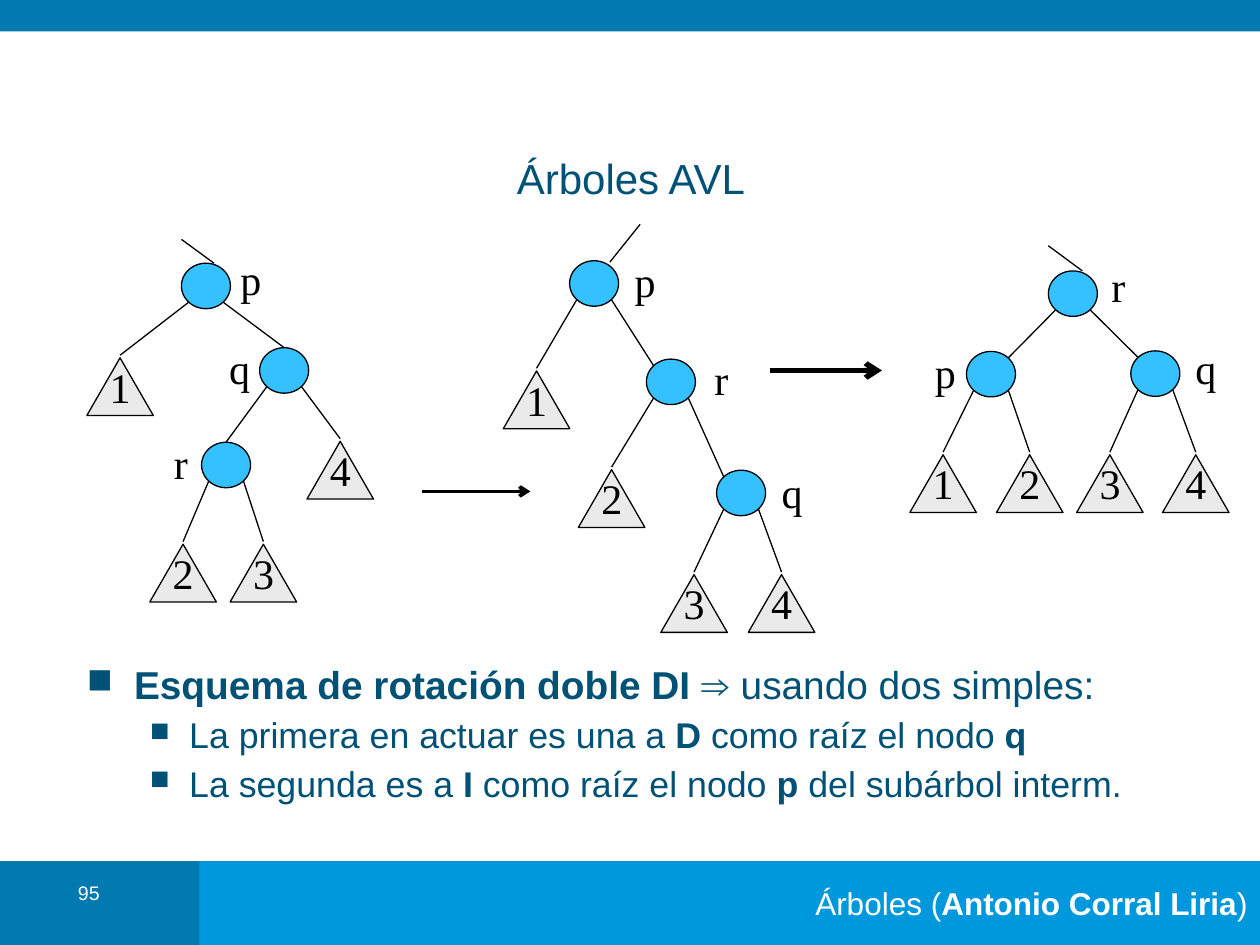
import pptx
import pptx.dml.color
import pptx.enum.shapes
import pptx.enum.text
import pptx.oxml
import pptx.oxml.ns
import pptx.util

Pt = pptx.util.Pt
Shape = pptx.enum.shapes.MSO_SHAPE
Align = pptx.enum.text.PP_ALIGN
Anchor = pptx.enum.text.MSO_ANCHOR

DARK, BRIGHT, INK = "007AB1", "0098DC", "005176"
NODE, LEAF, BLACK, WHITE = "35C0FF", "EAEAEA", "000000", "FFFFFF"
NODE_SIZE = (28, 26)
LEAF_SIZE = (38, 33)
LABEL_SIZE = (26, 36)
CORNER = (10, 9.4)  # where an edge meets a node, from its centre

# nodes: name -> (centre, label offset); leaves: name -> apex
TREES = [
    {
        "stem": ((122.4, 150.5), (103.7, 136.8)),
        "nodes": {"p": ((117.7, 163.4), (25.6, -4.3)),
                  "q": ((162.4, 211.7), (-25.6, -1.4)),
                  "r": ((129.2, 265.7), (-25.9, -1.4))},
        "leaves": {"1": (68.6, 204.5), "4": (194.4, 252.2),
                   "2": (104.6, 311), "3": (150.5, 311)},
        "children": {"p": "1q", "q": "r4", "r": "23"},
        "edges_reach_top": True,
        "arrow": ((241.2, 280.8), (303.1, 280.8), 2),
    },
    {
        "stem": ((348.5, 149.8), (365.8, 128.2)),
        "nodes": {"p": ((339.5, 162), (29, -1.4)),
                  "r": ((383.4, 218.2), (28.8, -2)),
                  "q": ((423.5, 281.7), (29, -0.7))},
        "leaves": {"1": (306.6, 212), "2": (349.5, 268.4),
                   "3": (396.6, 328.4), "4": (446.6, 328.4)},
        "children": {"p": "1r", "r": "2q", "q": "34"},
        "edges_reach_top": False,
        "arrow": ((440, 211.7), (504, 211.7), 3),
    },
    {
        "stem": ((618.5, 154.8), (599, 140.4)),
        "nodes": {"r": ((613.1, 167.8), (25.9, -4.3)),
                  "p": ((566.3, 213.8), (-26.2, -1.4)),
                  "q": ((660.2, 213.5), (28.8, -3.2))},
        "leaves": {"1": (538.9, 259.9), "2": (588.4, 259.9),
                   "3": (634.2, 259.9), "4": (683.3, 259.9)},
        "children": {"r": "pq", "p": "12", "q": "34"},
        "edges_reach_top": False,
        "arrow": None,
    },
]

# Each paragraph is a list of (text, bold) runs
TITLE = [("Árboles AVL", False)]
FOOTER = [("Árboles (", False), ("Antonio Corral Liria", True), (")", False)]
NUMBER = [("95", False)]
HEADLINE = [("Esquema de rotación doble DI ", True), ("⇒ usando dos simples:", False)]
POINTS = [
    [("La primera en actuar es una a ", False), ("D", True),
     (" como raíz el nodo ", False), ("q", True)],
    [("La segunda es a ", False), ("I", True), (" como raíz el nodo ", False),
     ("p", True), (" del subárbol interm.", False)],
]


def rgb(color):
    return pptx.dml.color.RGBColor.from_string(color)


def add_shape(shapes, kind, box, fill, outline=None):
    shape = shapes.add_shape(kind, *map(Pt, box))
    shape.shadow.inherit = False
    shape.fill.solid()
    shape.fill.fore_color.rgb = rgb(fill)
    if outline:
        shape.line.color.rgb = rgb(outline)
        shape.line.width = Pt(0.75)
    else:
        shape.line.fill.background()
    return shape


def add_line(shapes, start, end, width=0.75, arrow=False):
    straight = pptx.enum.shapes.MSO_CONNECTOR.STRAIGHT
    line = shapes.add_connector(straight, *map(Pt, start + end))
    line.line.color.rgb = rgb(BLACK)
    line.line.width = Pt(width)
    if arrow:
        head = pptx.oxml.ns.qn("a:tailEnd")
        line.line._get_or_add_ln().append(
            line._element.makeelement(head, {"type": "arrow"}))
    effects = pptx.oxml.ns.qn("a:effectLst")
    line._element.spPr.append(line._element.makeelement(effects, {}))


def add_bullet(paragraph, percent, left, hanging):
    properties = paragraph._p.get_or_add_pPr()
    properties.set("marL", str(Pt(left)))
    properties.set("indent", str(Pt(-hanging)))
    space = pptx.oxml.ns.nsdecls("a")
    for xml in (f'<a:buClr {space}><a:srgbClr val="{INK}"/></a:buClr>',
                f'<a:buSzPct {space} val="{percent * 1000}"/>',
                f'<a:buChar {space} char="■"/>'):
        properties.append(pptx.oxml.parse_xml(xml))


def write(paragraph, runs, size=24, color=INK, font="Arial", align=Align.LEFT,
          spacing=None, before=None, bullet=None):
    if bullet:
        add_bullet(paragraph, *bullet)
    paragraph.alignment = align
    if spacing:
        paragraph.line_spacing = spacing
    if before:
        paragraph.space_before = Pt(before)
    for text, bold in runs:
        run = paragraph.add_run()
        run.text = text
        run.font.size = Pt(size)
        run.font.name = font
        run.font.bold = bold
        run.font.color.rgb = rgb(color)


def add_text_frame(shapes, box, anchor=Anchor.TOP, wrap=True):
    frame = shapes.add_textbox(*map(Pt, box)).text_frame
    frame.word_wrap = wrap
    frame.vertical_anchor = anchor
    return frame


def add_label(shapes, text, x, y):
    """Write a letter or digit centred on a point."""
    width, height = LABEL_SIZE
    box = (x - width / 2, y - height / 2, width, height)
    frame = add_text_frame(shapes, box, Anchor.MIDDLE, wrap=False)
    write(frame.paragraphs[0], [(text, False)], color=BLACK,
          font="Times New Roman", align=Align.CENTER)


def edge_end(tree, child, side):
    if child in tree["leaves"]:
        x, y = tree["leaves"][child]
        return x, y - 1.5
    x, y = tree["nodes"][child][0]
    if tree["edges_reach_top"]:
        return x, y - NODE_SIZE[1] / 2
    return x - side * CORNER[0], y - CORNER[1]


def draw_tree(slide, tree):
    shapes = slide.shapes.add_group_shape().shapes
    add_line(shapes, *tree["stem"])
    for parent, children in tree["children"].items():
        x, y = tree["nodes"][parent][0]
        for side, child in zip((-1, 1), children):
            start = (x + side * CORNER[0], y + CORNER[1])
            add_line(shapes, start, edge_end(tree, child, side))
    for name, ((x, y), (dx, dy)) in tree["nodes"].items():
        width, height = NODE_SIZE
        box = (x - width / 2, y - height / 2, width, height)
        add_shape(shapes, Shape.OVAL, box, NODE, BLACK)
        add_label(shapes, name, x + dx, y + dy)
    for name, (x, y) in tree["leaves"].items():
        box = (x - LEAF_SIZE[0] / 2, y, *LEAF_SIZE)
        add_shape(shapes, Shape.ISOSCELES_TRIANGLE, box, LEAF, BLACK)
        add_label(shapes, name, x, y + LABEL_SIZE[1] / 2 - 1.8)
    if tree["arrow"]:
        add_line(shapes, *tree["arrow"], arrow=True)


def main():
    presentation = pptx.Presentation()
    presentation.slide_width, presentation.slide_height = Pt(720), Pt(540)
    slide = presentation.slides.add_slide(presentation.slide_layouts[6])
    shapes = slide.shapes

    add_shape(shapes, Shape.RECTANGLE, (0, 492, 132, 48), DARK)
    footer = add_shape(shapes, Shape.RECTANGLE, (114, 492, 606, 48), BRIGHT).text_frame
    footer.word_wrap = True
    footer.vertical_anchor = Anchor.MIDDLE
    write(footer.paragraphs[0], FOOTER, size=18, color=WHITE, align=Align.RIGHT)
    add_shape(shapes, Shape.RECTANGLE, (0, 0, 720, 18), DARK)

    number = add_text_frame(shapes, (25.2, 502.6, 51.1, 23))
    write(number.paragraphs[0], NUMBER, size=11.2, color=WHITE,
          align=Align.CENTER, spacing=0.8)
    title = add_text_frame(shapes, (60, 86.4, 601, 30.2), Anchor.MIDDLE)
    write(title.paragraphs[0], TITLE, align=Align.CENTER)

    for tree in TREES:
        draw_tree(slide, tree)

    body = add_text_frame(shapes, (42.5, 377.3, 663, 103))
    write(body.paragraphs[0], HEADLINE, size=22.2, spacing=0.9, bullet=(90, 27, 27))
    for point in POINTS:
        paragraph = body.add_paragraph()
        paragraph.level = 1
        write(paragraph, point, size=20.4, spacing=0.9, before=5.5,
              bullet=(75, 58.5, 22.5))

    presentation.save("out.pptx")


if __name__ == "__main__":
    main()
